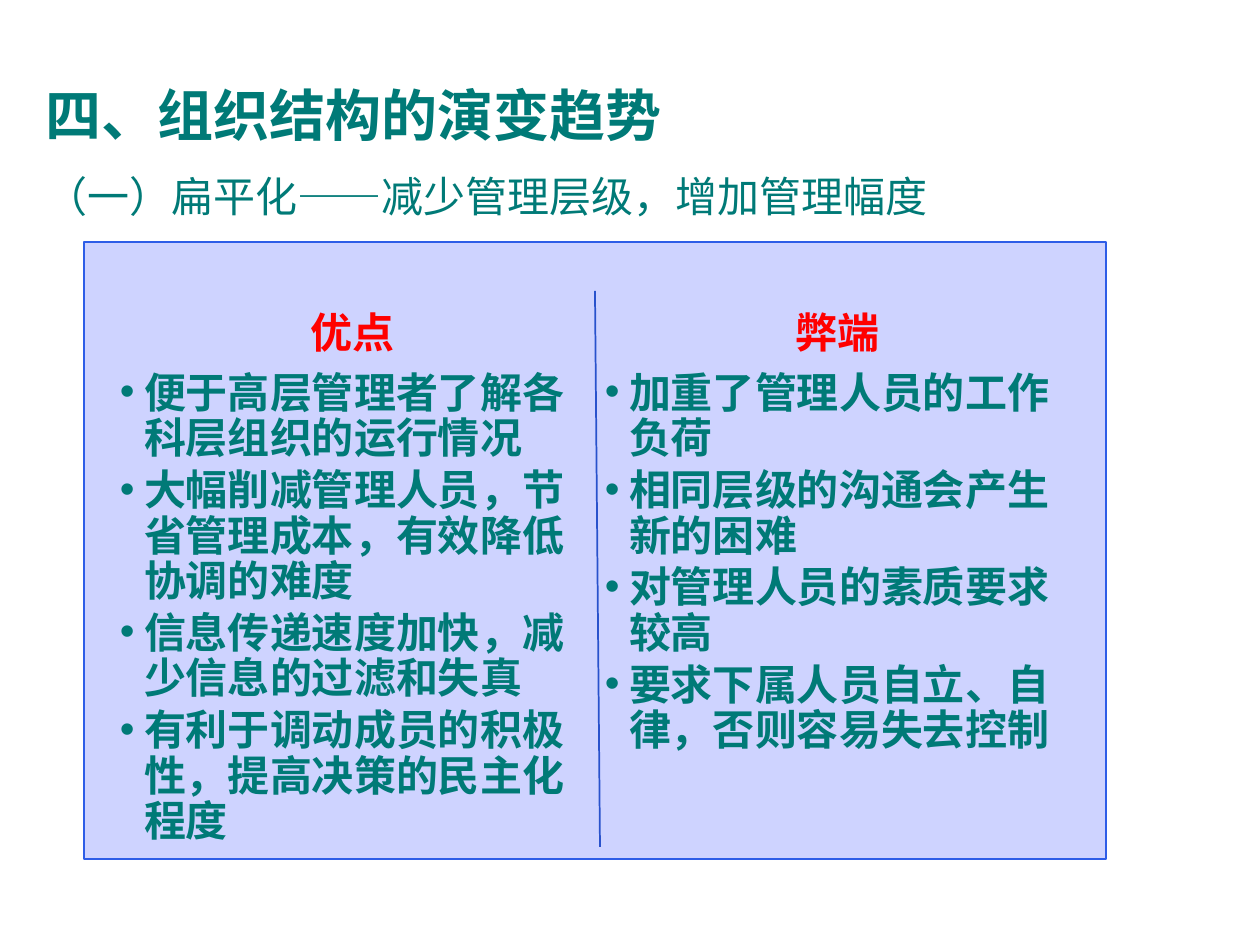
from dataclasses import dataclass

from lxml import etree
from pptx import Presentation
from pptx import util as u
from pptx.dml.color import RGBColor as Rgb
from pptx.enum import shapes, text
from pptx.oxml import ns

PX = 914400 // 126


@dataclass(frozen=True)
class Theme:
    teal: Rgb = Rgb(0x00, 0x7A, 0x77)
    red: Rgb = Rgb(0xFF, 0x00, 0x00)
    fill: Rgb = Rgb(0xCE, 0xD3, 0xFF)
    edge: Rgb = Rgb(0x2E, 0x5D, 0xE7)
    rule: Rgb = Rgb(0x29, 0x52, 0xCC)
    title: int = 32
    body: int = 24
    latin: str = "Arial"
    asian: str = "Noto Sans CJK SC"


@dataclass(frozen=True)
class Box:
    x: int
    y: int
    w: int
    h: int


@dataclass(frozen=True)
class Column:
    box: Box
    head: str
    items: tuple[str, ...]


THEME = Theme()
COLUMNS = (
    Column(Box(115, 304, 475, 522), "优点", (
        "便于高层管理者了解各科层组织的运行情况",
        "大幅削减管理人员，节省管理成本，有效降低协调的难度",
        "信息传递速度加快，减少信息的过滤和失真",
        "有利于调动成员的积极性，提高决策的民主化程度",
    )),
    Column(Box(600, 304, 475, 444), "弊端", (
        "加重了管理人员的工作负荷",
        "相同层级的沟通会产生新的困难",
        "对管理人员的素质要求较高",
        "要求下属人员自立、自律，否则容易失去控制",
    )),
)


def place(shape, box: Box) -> None:
    shape.left, shape.top = box.x * PX, box.y * PX
    shape.width, shape.height = box.w * PX, box.h * PX


def style(para, size: int, color: Rgb, bold: bool, latin: str) -> None:
    para.alignment = text.PP_ALIGN.LEFT
    para.space_before = u.Pt(0)
    for run in para.runs:
        font = run.font
        font.size, font.bold, font.name = u.Pt(size), bold, latin
        font.color.rgb = color
        asian = etree.Element(ns.qn("a:ea"), typeface=THEME.asian)
        font._element.find(ns.qn("a:latin")).addnext(asian)


def mark(para, char: str = "") -> None:
    """Give the paragraph a hanging bullet, or none at all."""
    props = para._p.get_or_add_pPr()
    hang = 24 * PX if char else 0
    props.set("marL", str(hang))
    props.set("indent", str(-hang))
    if char:
        etree.SubElement(props, ns.qn("a:buChar"), char=char)
    else:
        etree.SubElement(props, ns.qn("a:buNone"))


def frame(shape, anchor: text.MSO_ANCHOR):
    body = shape.text_frame
    body.word_wrap = True
    body.auto_size = text.MSO_AUTO_SIZE.NONE
    body.vertical_anchor = anchor
    return body


def add_title(shape, words: str) -> None:
    place(shape, Box(33, 70, 980, 97))
    body = frame(shape, text.MSO_ANCHOR.TOP)
    body.text = words
    para = body.paragraphs[0]
    style(para, THEME.title, THEME.teal, True, THEME.latin)
    para.line_spacing = u.Pt(41)


def add_lead(slide, words: str) -> None:
    shape = slide.shapes.add_textbox(0, 0, 0, 0)
    place(shape, Box(33, 145, 1181, 107))
    body = frame(shape, text.MSO_ANCHOR.MIDDLE)
    body.text = words
    para = body.paragraphs[0]
    style(para, THEME.body, THEME.teal, False, THEME.asian)
    para.line_spacing = 0.9


def add_panel(slide, box: Box) -> None:
    """Draw the panel behind the placeholders."""
    panel = slide.shapes.add_shape(shapes.MSO_SHAPE.RECTANGLE, 0, 0, 0, 0)
    place(panel, box)
    panel.shadow.inherit = False
    panel.fill.solid()
    panel.fill.fore_color.rgb = THEME.fill
    panel.line.color.rgb = THEME.edge
    panel.line.width = u.Pt(1)
    panel.element.getparent().insert(2, panel.element)


def add_rule(slide, x1: int, y1: int, x2: int, y2: int) -> None:
    ends = (side * PX for side in (x1, y1, x2, y2))
    rule = slide.shapes.add_connector(shapes.MSO_CONNECTOR.STRAIGHT, *ends)
    rule.line.color.rgb = THEME.rule
    rule.line.width = u.Pt(1)
    etree.SubElement(rule.element.spPr, ns.qn("a:effectLst"))


def fill_column(shape, col: Column) -> None:
    place(shape, col.box)
    body = frame(shape, text.MSO_ANCHOR.TOP)
    body.margin_left = body.margin_right = 5 * PX
    body.margin_top = body.margin_bottom = 7 * PX
    body.text = "\n".join((col.head, *col.items))
    head, *items = body.paragraphs
    mark(head)
    style(head, THEME.body, THEME.red, True, THEME.latin)
    head.alignment = text.PP_ALIGN.CENTER
    head.space_after = u.Pt(8.4)
    for para in items:
        para.level = 1
        mark(para, "•")
        style(para, THEME.body, THEME.teal, True, THEME.latin)
        para.font.color.rgb = THEME.teal
        para.space_after = u.Pt(3.6)
    for para in body.paragraphs:
        para.line_spacing = u.Pt(26)


def main() -> None:
    deck = Presentation()
    deck.slide_width, deck.slide_height = u.Inches(10), u.Inches(7.5)
    slide = deck.slides.add_slide(deck.slide_layouts[3])
    title, *bodies = list(slide.placeholders)[:3]
    add_panel(slide, Box(84, 242, 1022, 617))
    add_title(title, "四、组织结构的演变趋势")
    add_lead(slide, "（一）扁平化——减少管理层级，增加管理幅度")
    for shape, col in zip(bodies, COLUMNS):
        fill_column(shape, col)
    add_rule(slide, 595, 291, 600, 847)
    deck.save("out.pptx")


if __name__ == "__main__":
    main()
